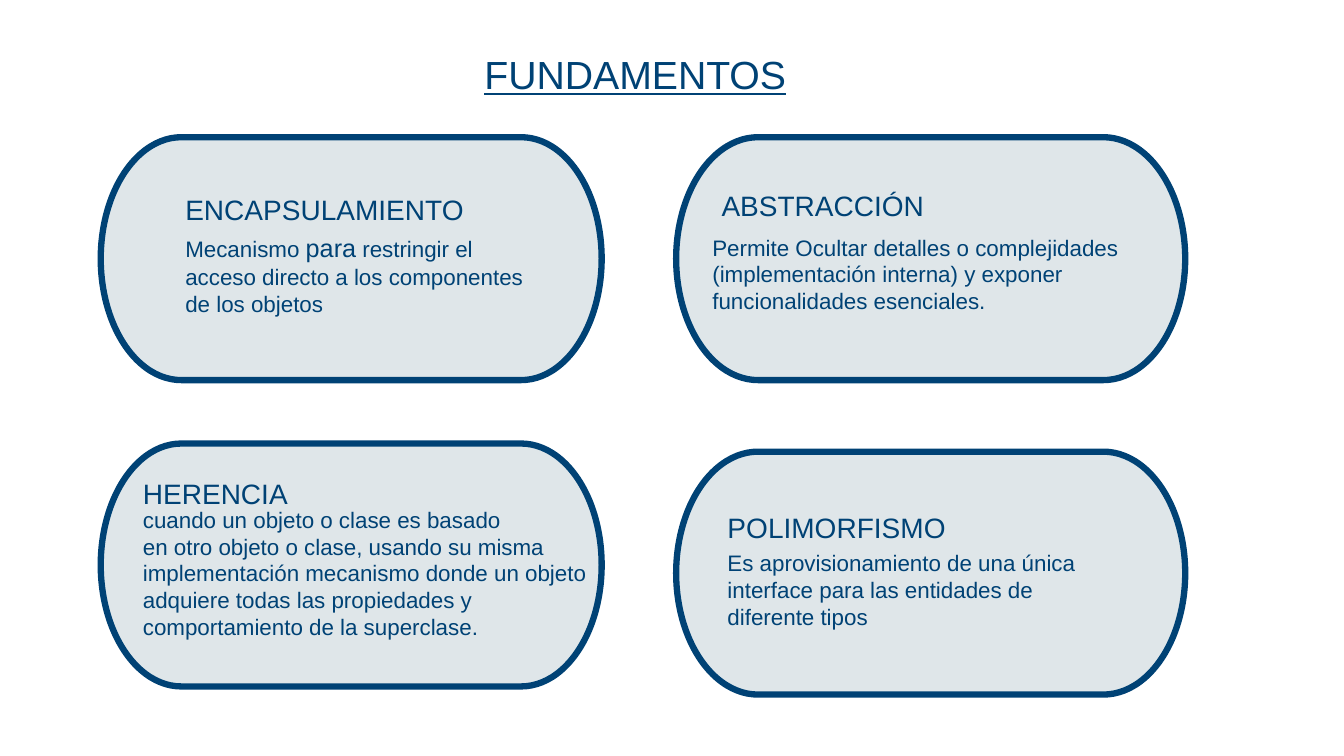
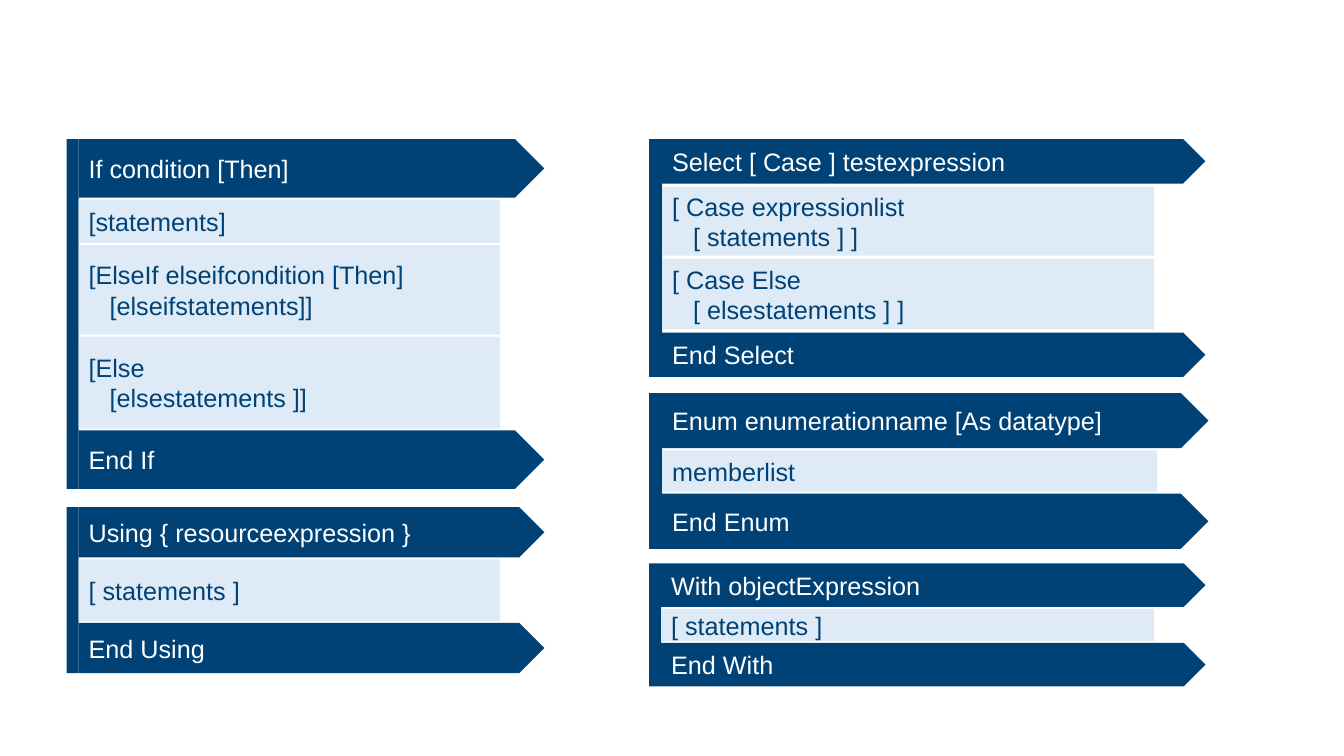
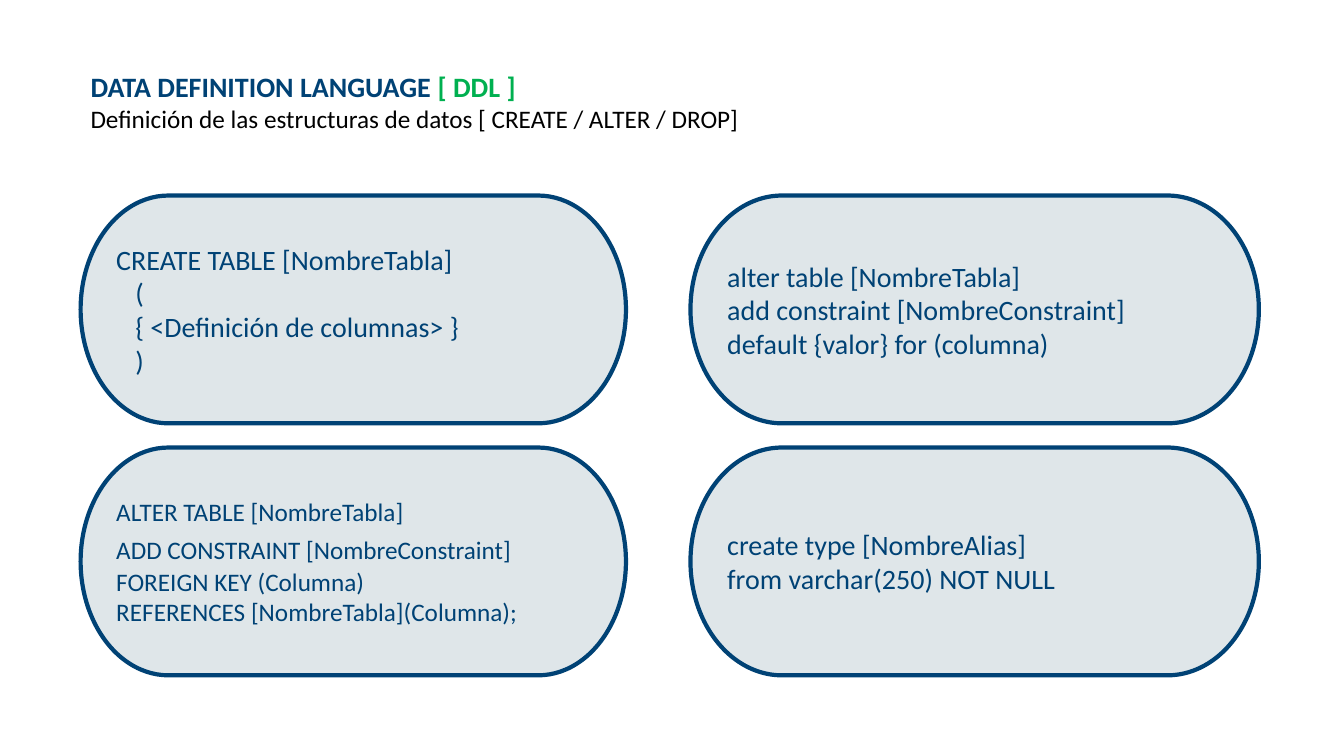
from dataclasses import dataclass

from pptx import Presentation
from pptx.dml.color import RGBColor
from pptx.enum.shapes import MSO_SHAPE as Preset
from pptx.enum.text import MSO_ANCHOR as Anchor, PP_ALIGN as Align
from pptx.util import Pt


@dataclass(frozen=True)
class Theme:
    navy: str = "004275"
    card: str = "DFE6E9"
    step: str = "DEEBF7"
    white: str = "FFFFFF"
    black: str = "000000"
    green: str = "00B050"
    sans: str = "Arial"
    code: str = "Calibri"
    title: int = 28
    heading: int = 20
    body: int = 18
    detail: int = 16


@dataclass(frozen=True)
class Indented:
    text: str


theme = Theme()

# ---- Content: a line is a string, an Indented, or a list of (text, format) runs
PRINCIPLES_TITLE = "FUNDAMENTOS"
# card (left, top, width), heading and its place, lines and their place
PRINCIPLES = [
    ((483, 98, 363.6), "ABSTRACCIÓN", (508.3, 131), (501.8, 163.4),
     ["Permite Ocultar detalles o complejidades",
      "(implementación interna) y exponer",
      "funcionalidades esenciales."]),
    ((483, 322.6, 363.6), "POLIMORFISMO", (512.6, 361.4), (512.6, 388.8),
     ["Es aprovisionamiento de una única",
      "interface para las entidades de",
      "diferente tipos"]),
    ((72, 98, 357.8), "ENCAPSULAMIENTO", (125.3, 133.9), (125.3, 162.7),
     [[("Mecanismo ", {}), ("para", {"size": theme.body}), (" restringir el", {})],
      "acceso directo a los componentes",
      "de los objetos"]),
    ((72, 316.8, 357.8), "HERENCIA", (95, 337), (95, 357.8),
     ["cuando un objeto o clase es basado",
      "en otro objeto o clase, usando su misma",
      "implementación mecanismo donde un objeto",
      "adquiere todas las propiedades y",
      "comportamiento de la superclase."]),
]

# rail left, body left, top, arrow width, step width, gap, rows (height, lines);
# the first and last rows are arrows
CODE_BLOCKS = [
    (463.6, 473, 99.4, 388, 351.4, 2.3, [
        (31.7, ["Select [ Case ] testexpression"]),
        (49.3, ["[ Case expressionlist", Indented("[ statements ] ]")]),
        (50.3, ["[ Case Else", Indented("[ elsestatements ] ]")]),
        (31.7, ["End Select"])]),
    (47.5, 56.2, 99.4, 332.6, 301, 1.4, [
        (41.8, ["If condition [Then]"]),
        (31, ["[statements]"]),
        (64.1, ["[ElseIf elseifcondition [Then]", Indented("[elseifstatements]]")]),
        (65.5, ["[Else", Indented("[elsestatements ]]")]),
        (41.8, ["End If"])]),
    (47.5, 56.2, 362.2, 332.6, 301, 1.4, [
        (36, ["Using { resourceexpression }"]),
        (43.9, ["[ statements ]"]),
        (36, ["End Using"])]),
    (463.6, 473, 280.8, 390.2, 353.5, 1.5, [
        (39.4, ["Enum enumerationname [As datatype]"]),
        (29.5, ["memberlist"]),
        (39.4, ["End Enum"])]),
    (463.6, 472.3, 402.5, 388.8, 352, 1.4, [
        (31, ["With objectExpression"]),
        (23, ["[ statements ]"]),
        (31, ["End With"])]),
]

DDL_TITLE = [
    [("DATA DEFINITION LANGUAGE ", {"bold": True}),
     ("[ DDL ]", {"bold": True, "color": theme.green})],
    [("Definición de las estructuras de datos [ CREATE / ALTER / DROP]",
      {"size": theme.body, "color": theme.black})],
]
# (size, lines) for each cell of the grid
DDL_GRID = [
    [(20, ["CREATE TABLE [NombreTabla]", Indented("("),
           Indented("{ <Definición de columnas> }"), Indented(")")]),
     (20, ["alter table [NombreTabla]",
           "add constraint [NombreConstraint]",
           "default {valor} for (columna)"])],
    [(18, [[("ALTER\u00a0TABLE\u00a0[NombreTabla]\n"
             "ADD\u00a0CONSTRAINT\u00a0[NombreConstraint]", {}),
            (" ", {"size": 24}),
            ("FOREIGN\u00a0KEY\u00a0(Columna)", {})],
           "REFERENCES\u00a0[NombreTabla](Columna);"]),
     (20, ["create type [NombreAlias]", "from varchar(250) NOT NULL"])],
]


# ---- Helpers
def write_text(shape, lines, size=theme.body, font=theme.sans, color=theme.navy,
               bold=False, underline=False, anchor=Anchor.TOP, indent=15):
    base = dict(size=size, color=color, bold=bold)
    frame = shape.text_frame
    frame.word_wrap = True
    frame.vertical_anchor = anchor
    for number, line in enumerate(lines):
        paragraph = frame.add_paragraph() if number else frame.paragraphs[0]
        paragraph.alignment = Align.LEFT
        if isinstance(line, Indented):
            paragraph._p.get_or_add_pPr().set("marL", str(Pt(indent)))
            line = line.text
        for text, changes in [(line, {})] if isinstance(line, str) else line:
            style = {**base, **changes}
            for part_number, part in enumerate(text.split("\n")):
                if part_number:
                    paragraph.add_line_break()
                run = paragraph.add_run()
                run.text = part
                run.font.name = font
                run.font.size = Pt(style["size"])
                run.font.bold = style["bold"]
                run.font.underline = underline
                run.font.color.rgb = RGBColor.from_string(style["color"])


def add_text(slide, left, top, width, height, lines, **style):
    box = slide.shapes.add_textbox(Pt(left), Pt(top), Pt(width), Pt(height))
    write_text(box, lines, **style)


def add_block(slide, preset, left, top, width, height, fill, line_width=0):
    shape = slide.shapes.add_shape(preset, Pt(left), Pt(top), Pt(width), Pt(height))
    shape.shadow.inherit = False
    shape.fill.solid()
    shape.fill.fore_color.rgb = RGBColor.from_string(fill)
    if line_width:
        shape.line.color.rgb = RGBColor.from_string(theme.navy)
        shape.line.width = Pt(line_width)
    else:
        shape.line.fill.background()
    return shape


def add_card(slide, left, top, width, height, line_width):
    return add_block(slide, Preset.FLOWCHART_TERMINATOR, left, top, width, height,
                     theme.card, line_width)


def add_code_block(slide, rail_left, left, top, arrow_width, step_width, gap, rows):
    height = sum(row_height for row_height, _ in rows) + gap * (len(rows) - 1)
    add_block(slide, Preset.RECTANGLE, rail_left, top, left - rail_left, height,
              theme.navy)
    for number, (row_height, lines) in enumerate(rows):
        if number in (0, len(rows) - 1):
            look = Preset.PENTAGON, arrow_width, theme.navy, theme.white
        else:
            look = Preset.RECTANGLE, step_width, theme.step, theme.navy
        preset, width, fill, color = look
        row = add_block(slide, preset, left, top, width, row_height, fill)
        write_text(row, lines, color=color, anchor=Anchor.MIDDLE)
        top += row_height + gap


presentation = Presentation()
presentation.slide_width, presentation.slide_height = Pt(960), Pt(540)
blank = presentation.slide_layouts[6]

# ---- Slide 1: principles
slide = presentation.slides.add_slide(blank)
for (left, top, width), heading, heading_at, lines_at, lines in PRINCIPLES:
    add_card(slide, left, top, width, 173.5, 4.5)
    add_text(slide, *heading_at, 232, 31.5, [heading], size=theme.heading)
    add_text(slide, *lines_at, 344, 19.4 * len(lines) + 7.2, lines,
             size=theme.detail)
add_text(slide, 339, 32.4, 232.6, 41, [PRINCIPLES_TITLE], size=theme.title,
         underline=True)

# ---- Slide 2: code blocks
slide = presentation.slides.add_slide(blank)
for block in CODE_BLOCKS:
    add_code_block(slide, *block)

# ---- Slide 3: data definition language
slide = presentation.slides.add_slide(blank)
add_text(slide, 57.6, 46, 825, 53.3, DDL_TITLE, size=theme.heading, font=theme.code)
columns = [(57.6, 389.5), (493.2, 406)]
for row_number, cells in enumerate(DDL_GRID):
    for (left, width), (size, lines) in zip(columns, cells):
        card = add_card(slide, left, 139.7 + 180 * row_number, width, 162.7, 3)
        write_text(card, lines, size=size, font=theme.code, anchor=Anchor.MIDDLE,
                   indent=13.6)

presentation.save("out.pptx")
